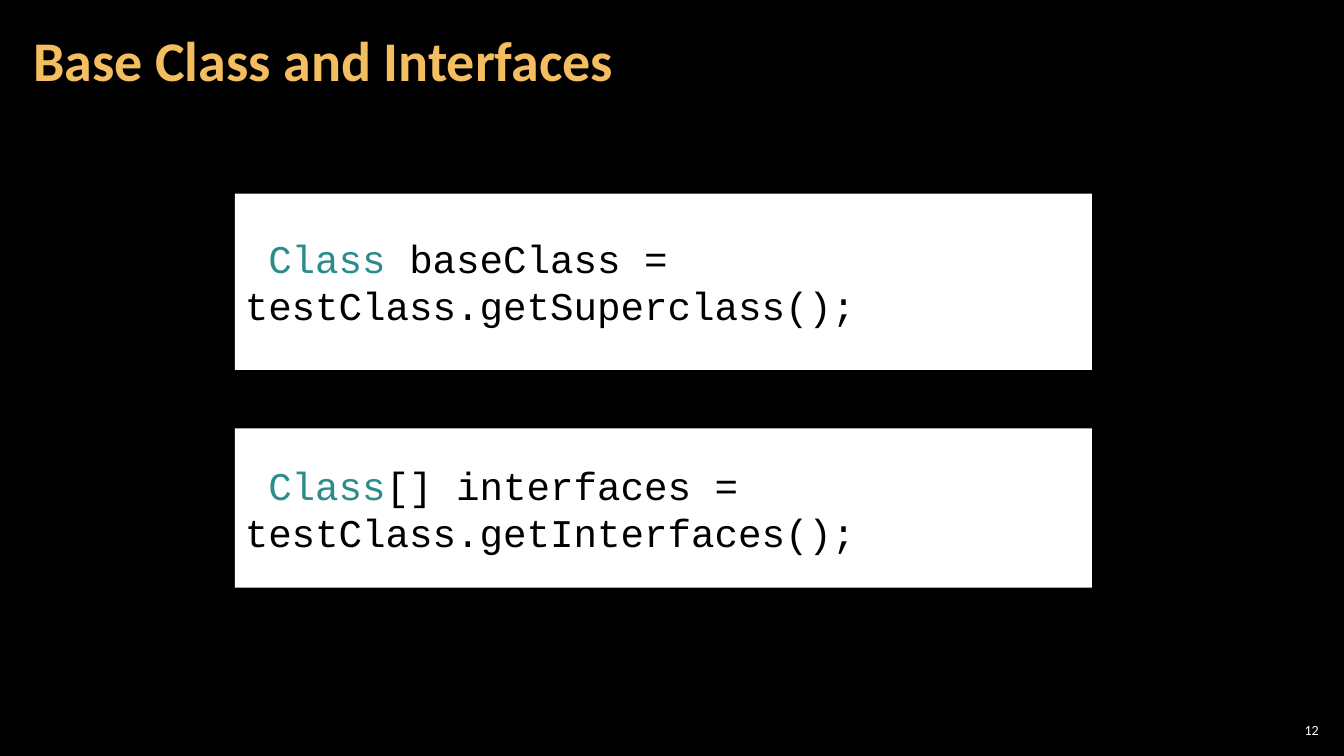
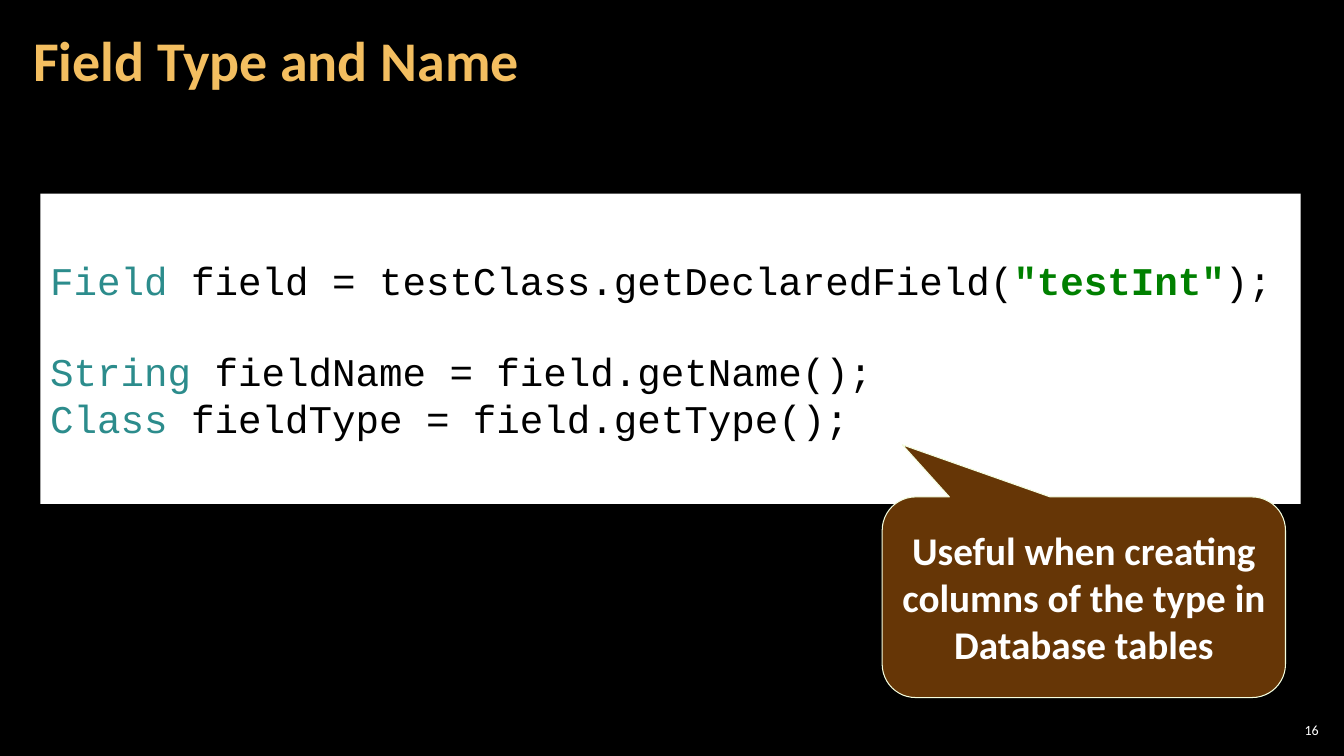
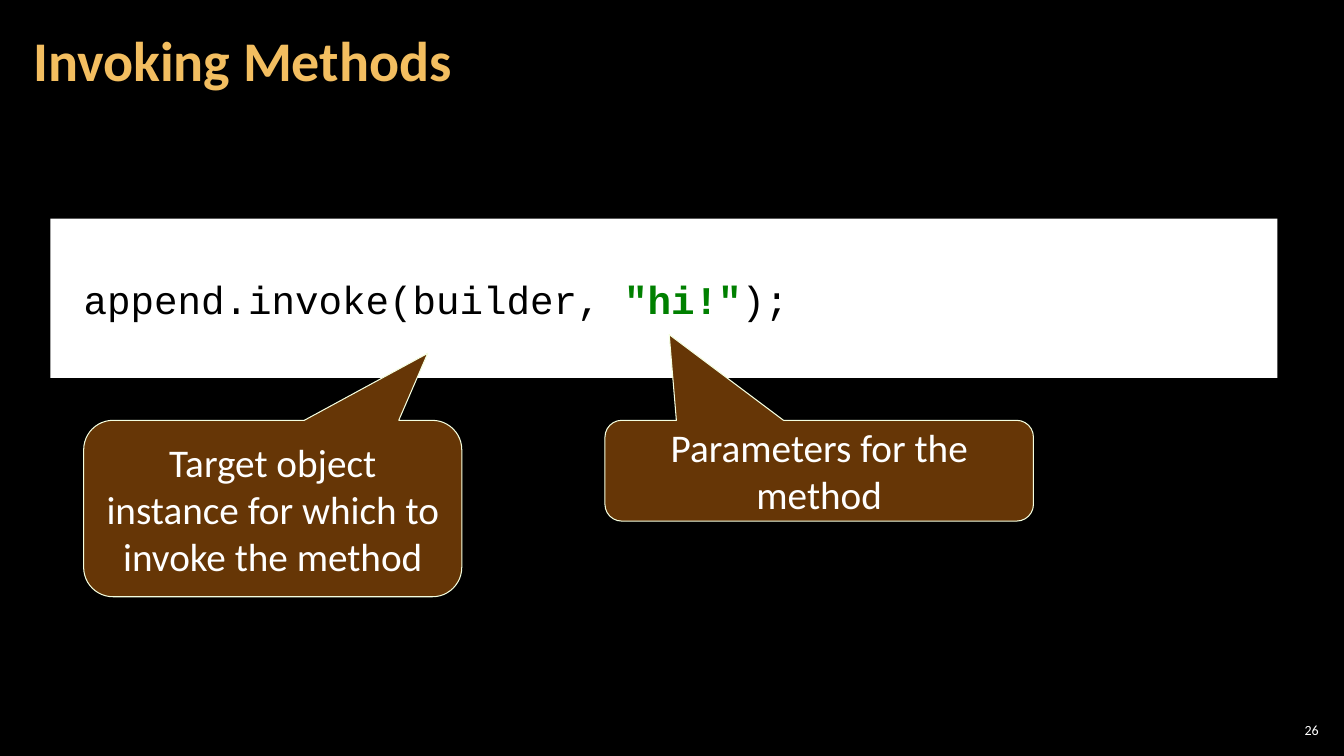
from pptx import Presentation, util as u
from pptx.dml.color import RGBColor
from pptx.enum import shapes, text

# Shared style
BLACK, WHITE, GOLD = "000000", "FFFFFF", "F3BE60"
BROWN, CREAM = "663606", "F5FFE0"
SANS, MONO = "Calibri", "Courier New"
TYPE = {"color": "2C8C8C"}
STRING = {"color": "008000", "bold": True}
TITLE_BOX = (0.21, 0.04, 10.47, 1.21)
NUMBER_BOX = (12.65, 7.14, 0.47, 0.21)
CODE_SIZE = 28
CODE_LINE = 31.7  # height of one line of code, in points

# Content: code is (box, lines, line with a gap above); a line lists (text, format) runs
SLIDES = [
    {
        "title": "Base Class and Interfaces",
        "number": "12",
        "code": [
            ((2.33, 1.92, 8.5, 1.75),
             [[(" Class ", TYPE), ("baseClass = testClass.getSuperclass();", {})]], None),
            ((2.33, 4.25, 8.5, 1.58),
             [[(" Class", TYPE), ("[] interfaces = testClass.getInterfaces();", {})]], None),
        ],
        "callouts": [],
    },
    {
        "title": "Field Type and Name",
        "number": "16",
        "code": [
            ((0.4, 1.92, 12.5, 3.08),
             [[("Field ", TYPE), ("field = testClass.getDeclaredField(", {}),
               ('"testInt"', STRING), (");", {})],
              [("String ", TYPE), ("fieldName = field.getName();", {})],
              [("Class ", TYPE), ("fieldType = field.getType();", {})]], 1),
        ],
        "callouts": [
            ((8.75, 4.93, 4, 1.99), (-0.45, -0.76),
             "Useful when creating columns of the type in Database tables", True),
        ],
    },
    {
        "title": "Invoking Methods",
        "number": "26",
        "code": [
            ((0.5, 2.17, 12.17, 1.58),
             [[(" append.invoke(builder, ", {}), ('"hi!"', STRING), (");", {})]], None),
        ],
        "callouts": [
            ((0.83, 4.17, 3.75, 1.75), (0.41, -0.88),
             "Target object instance for which to invoke the method", False),
            ((6, 4.17, 4.25, 1), (-0.35, -1.35), "Parameters for the method", False),
        ],
    },
]


def rgb(value):
    return RGBColor.from_string(value)


def inches(box):
    return [u.Inches(length) for length in box]


def write(shape, lines, size, font=SANS, color=WHITE, bold=False,
          align=text.PP_ALIGN.LEFT, spacing=None, margins=(0.1, 0.05), gap_line=None):
    """Fill a shape with lines of text; a line is a string or a list of runs."""
    frame = shape.text_frame
    frame.word_wrap = True
    frame.vertical_anchor = text.MSO_ANCHOR.MIDDLE
    frame.margin_left = frame.margin_right = u.Inches(margins[0])
    frame.margin_top = frame.margin_bottom = u.Inches(margins[1])
    for index, line in enumerate(lines):
        paragraph = frame.add_paragraph() if index else frame.paragraphs[0]
        paragraph.alignment = align
        if spacing:
            paragraph.line_spacing = spacing
        if index and index == gap_line:
            paragraph.space_before = u.Pt(CODE_LINE)
        for words, style in [(line, {})] if isinstance(line, str) else line:
            run = paragraph.add_run()
            run.text = words
            run.font.name = font
            run.font.size = u.Pt(size)
            run.font.bold = style.get("bold", bold)
            run.font.color.rgb = rgb(style.get("color", color))


def add_panel(slide, kind, box, fill, line=None):
    shape = slide.shapes.add_shape(kind, *inches(box))
    shape.shadow.inherit = False
    shape.fill.solid()
    shape.fill.fore_color.rgb = rgb(fill)
    if line:
        shape.line.color.rgb = rgb(line)
        shape.line.width = u.Pt(0.75)
    else:
        shape.line.fill.background()
    return shape


def add_slide(presentation, content):
    slide = presentation.slides.add_slide(presentation.slide_layouts[6])

    # Title and slide number
    write(slide.shapes.add_textbox(*inches(TITLE_BOX)), [content["title"]], 40,
          color=GOLD, bold=True, spacing=u.Pt(40), margins=(0.12, 0.04))
    write(slide.shapes.add_textbox(*inches(NUMBER_BOX)), [content["number"]], 10,
          align=text.PP_ALIGN.RIGHT, margins=(0.04, 0.04))

    # Code panels
    for box, lines, gap_line in content["code"]:
        panel = add_panel(slide, shapes.MSO_SHAPE.RECTANGLE, box, WHITE)
        write(panel, lines, CODE_SIZE, font=MONO, color=BLACK, gap_line=gap_line)

    # Callouts
    for box, tip, words, bold in content["callouts"]:
        callout = add_panel(slide, shapes.MSO_SHAPE.ROUNDED_RECTANGULAR_CALLOUT,
                            box, BROWN, CREAM)
        callout.adjustments[0], callout.adjustments[1] = tip
        write(callout, [words], 28, bold=bold, align=text.PP_ALIGN.CENTER)


def main():
    presentation = Presentation()
    presentation.slide_width = u.Inches(13.33)
    presentation.slide_height = u.Inches(7.5)
    background = presentation.slide_master.background.fill
    background.solid()
    background.fore_color.rgb = rgb(BLACK)
    for content in SLIDES:
        add_slide(presentation, content)
    presentation.save("out.pptx")


if __name__ == "__main__":
    main()
